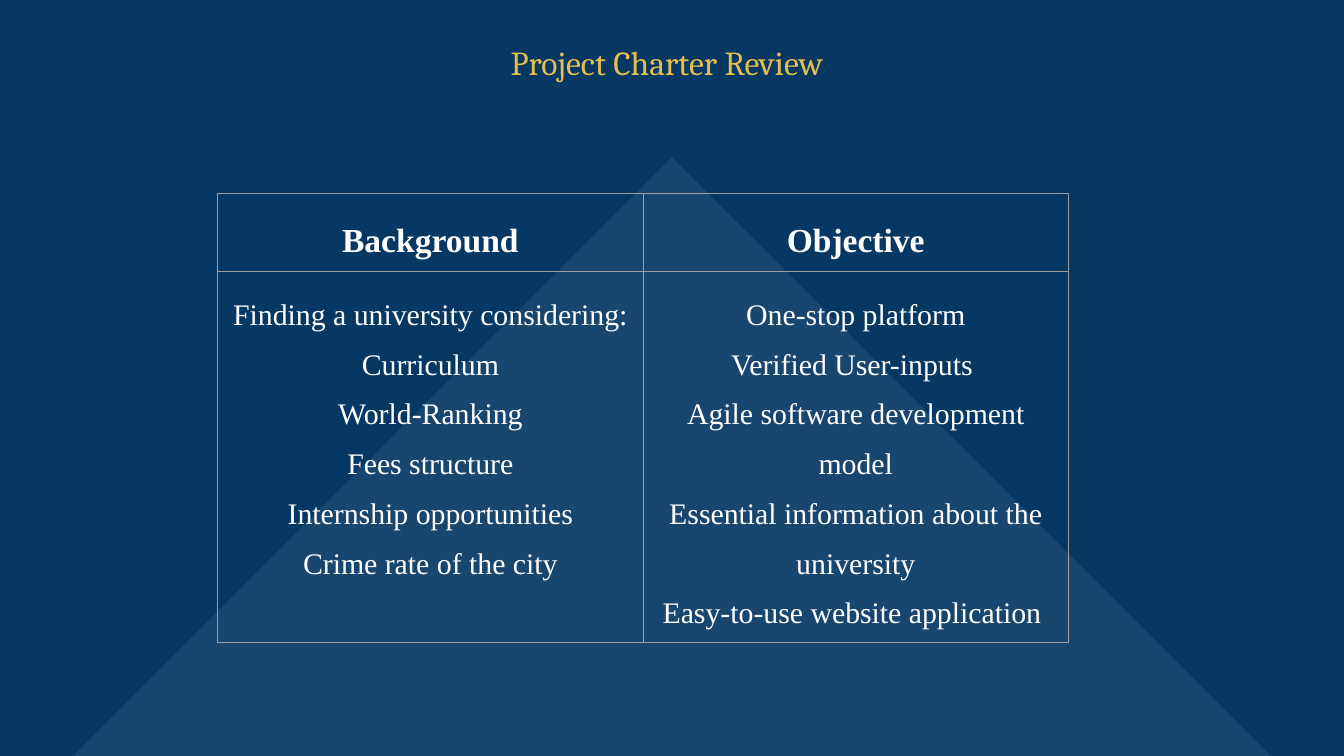
import pptx
import pptx.dml.color
import pptx.enum.shapes
import pptx.enum.text
import pptx.oxml
import pptx.oxml.ns
import pptx.util
from pptx.util import Inches

COLORS = {
    "background": "073763",
    "diamond": "CFE2F3",
    "title": "E5BF4D",
    "text": "FFFFFF",
    "border": "9E9E9E",
}
COLUMNS = {
    "Background": [
        "Finding a university considering:",
        "Curriculum",
        "World-Ranking",
        "Fees structure",
        "Internship opportunities",
        "Crime rate of the city",
    ],
    "Objective": [
        "One-stop platform",
        "Verified User-inputs ",
        "Agile software development model",
        "Essential information about the university",
        "Easy-to-use website application ",
    ],
}


def rgb(name):
    return pptx.dml.color.RGBColor.from_string(COLORS[name])


def format_font(font, name, size, color, bold=False):
    font.name = name
    font.size = pptx.util.Pt(size)
    font.bold = bold
    font.color.rgb = rgb(color)


def add_diamond(s):
    sp = s.shapes.add_shape(pptx.enum.shapes.MSO_SHAPE.DIAMOND,
                            Inches(0.33), Inches(1.17), Inches(9.34), Inches(9.34))
    sp.shadow.inherit = False
    sp.line.fill.background()
    sp.fill.solid()
    sp.fill.fore_color.rgb = rgb("diamond")
    color = sp.fill._xPr.find(".//" + pptx.oxml.ns.qn("a:srgbClr"))
    color.append(pptx.oxml.parse_xml(
        f'<a:alpha {pptx.oxml.ns.nsdecls("a")} val="9000"/>'))
    # Behind the title
    s.shapes._spTree.insert(2, sp._element)


def set_title(s, text):
    sp = s.shapes.title
    sp.left, sp.top = Inches(3.7), Inches(0.21)
    sp.width, sp.height = Inches(2.91), Inches(0.47)
    tf = sp.text_frame
    tf.text = text
    tf.word_wrap = True
    tf.auto_size = pptx.enum.text.MSO_AUTO_SIZE.NONE
    tf.vertical_anchor = pptx.enum.text.MSO_ANCHOR.TOP
    tf.margin_left = tf.margin_right = tf.margin_top = tf.margin_bottom = Inches(0.1)
    p = tf.paragraphs[0]
    p.alignment = pptx.enum.text.PP_ALIGN.LEFT
    format_font(p.runs[0].font, "Cambria", 18, "title")


def set_borders(cell):
    for side in ("lnL", "lnR", "lnT", "lnB"):
        cell._tc.get_or_add_tcPr().append(pptx.oxml.parse_xml(
            f'<a:{side} {pptx.oxml.ns.nsdecls("a")} w="7620"><a:solidFill>'
            f'<a:srgbClr val="{COLORS["border"]}"/></a:solidFill></a:{side}>'))


def fill_cell(cell, lines, size, bold=False):
    set_borders(cell)
    cell.fill.background()
    cell.margin_left = cell.margin_right = Inches(0.08)
    cell.margin_top = cell.margin_bottom = Inches(0.08)
    tf = cell.text_frame
    tf.text = "\n".join(lines)
    for p in tf.paragraphs:
        p.alignment = pptx.enum.text.PP_ALIGN.CENTER
        p.line_spacing = 1.5
        format_font(p.runs[0].font, "Times New Roman", size, "text", bold)


def add_charter_table(s):
    width = Inches(6.33)
    table = s.shapes.add_table(2, len(COLUMNS), Inches(1.62), Inches(1.44),
                               width, Inches(3.34)).table
    table.first_row = table.horz_banding = False
    table.rows[0].height, table.rows[1].height = Inches(0.58), Inches(2.76)
    for i, (heading, lines) in enumerate(COLUMNS.items()):
        table.columns[i].width = width // len(COLUMNS)
        fill_cell(table.cell(0, i), [heading], 18, bold=True)
        fill_cell(table.cell(1, i), lines, 16)


def main():
    prs = pptx.Presentation()
    # Widescreen, 16 to 9
    prs.slide_width = Inches(10)
    prs.slide_height = prs.slide_width * 9 // 16
    s = prs.slides.add_slide(prs.slide_layouts[5])
    s.background.fill.solid()
    s.background.fill.fore_color.rgb = rgb("background")
    add_diamond(s)
    set_title(s, "Project Charter Review")
    add_charter_table(s)
    prs.save("out.pptx")


if __name__ == "__main__":
    main()
